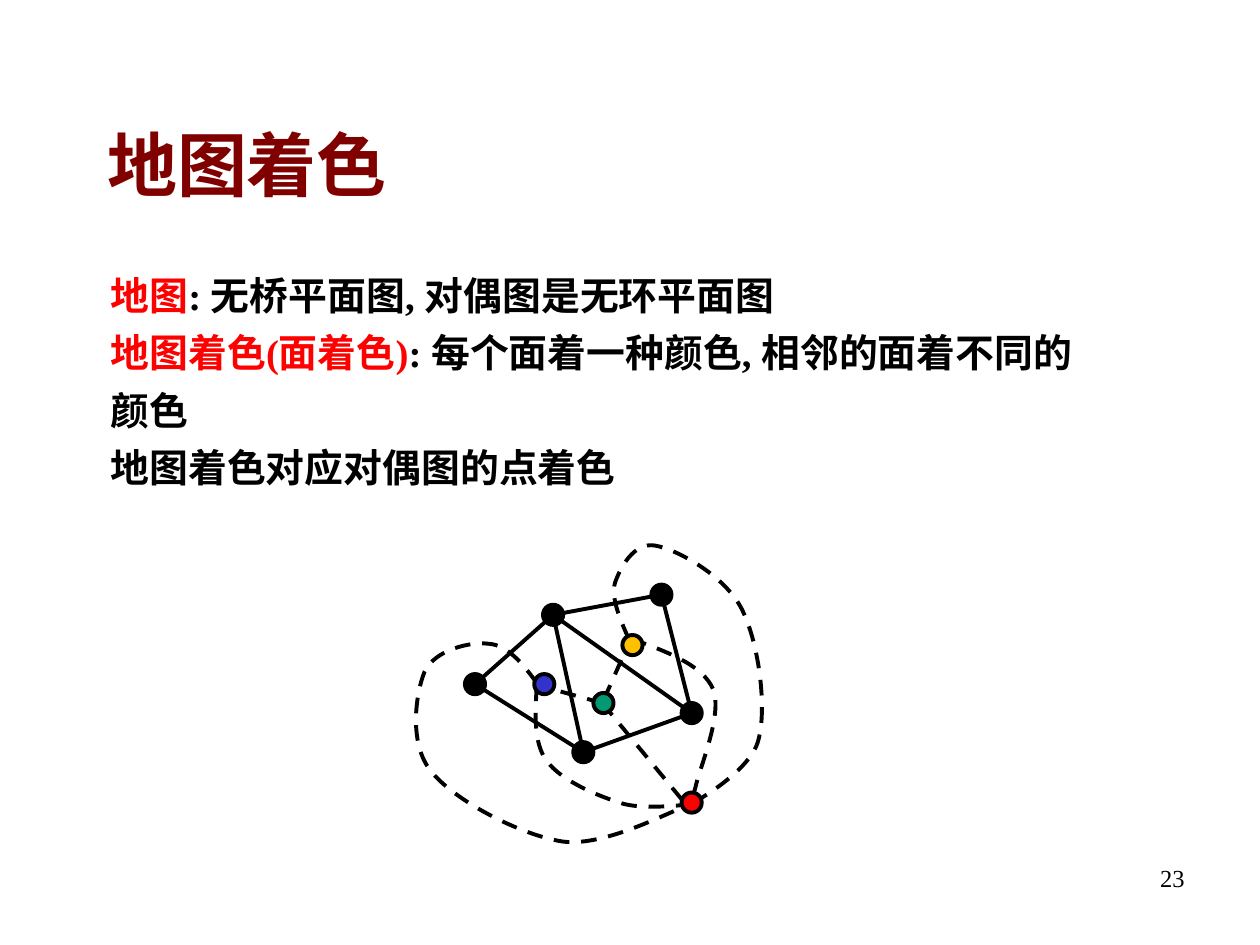
from pptx import Presentation
from pptx.dml.color import RGBColor
from pptx.enum.dml import MSO_LINE_DASH_STYLE as Dash
from pptx.enum.shapes import MSO_CONNECTOR, MSO_SHAPE
from pptx.enum.text import MSO_ANCHOR, PP_ALIGN
from pptx.oxml.ns import qn
from pptx.util import Inches, Pt

THEME = {
    "font": "Times New Roman",
    "title_size": 40, "body_size": 22.2, "number_size": 14,
    "title": "800000", "term": "FF0000", "ink": "000000",
    "stroke": 2.25, "node": 0.16,
}

# Content
TITLE = "地图着色"
PAGE_NUMBER = "23"
DEFINITIONS = [
    [("地图", "term"), (": 无桥平面图, 对偶图是无环平面图", "ink")],
    [("地图着色(面着色)", "term"), (": 每个面着一种颜色, 相邻的面着不同的", "ink")],
    [("颜色", "ink")],
    [("地图着色对应对偶图的点着色", "ink")],
]

# Map graph: vertex centres and edges
VERTICES = {"top": (4.39, 4.88), "right_top": (5.25, 4.72), "left": (3.77, 5.43),
            "bottom": (4.63, 5.97), "right": (5.49, 5.66)}
EDGES = [("top", "left"), ("top", "bottom"), ("left", "bottom"), ("top", "right_top"),
         ("right_top", "right"), ("bottom", "right"), ("top", "right")]

# Dual graph: one coloured vertex per face
FACES = {"yellow": ((5.02, 5.12), "FFC000"), "green": ((4.79, 5.58), "009973"),
         "blue": ((4.32, 5.43), "3333CC"), "outer": ((5.49, 6.37), "FF0000")}
DUAL_EDGES = [((5.02, 5.04), (4.78, 5.58)), ((4.24, 5.43), (4.78, 5.58)),
              ((4.78, 5.58), (5.44, 6.38))]
# Each curve is a start point, then two control points and an end point per
# segment; a single point left over at the end is joined by a straight line
DUAL_CURVES = [
    [(5.01, 5.07), (5.29, 5.17), (5.58, 5.28), (5.66, 5.47), (5.74, 5.67),
     (5.55, 6.1), (5.52, 6.25), (5.48, 6.4), (5.44, 6.38), (5.44, 6.38)],
    [(4.26, 5.44), (4.25, 5.66), (4.23, 5.89), (4.34, 6.04), (4.46, 6.2),
     (4.75, 6.32), (4.95, 6.38), (5.14, 6.43), (5.5, 6.38), (5.5, 6.38)],
    [(4.99, 5.07), (4.92, 4.91), (4.85, 4.75), (4.88, 4.63), (4.92, 4.51),
     (5.03, 4.3), (5.2, 4.33), (5.37, 4.36), (5.74, 4.56), (5.88, 4.82),
     (6.02, 5.08), (6.09, 5.61), (6.02, 5.87), (5.96, 6.13), (5.47, 6.39),
     (5.47, 6.39), (5.49, 6.39)],
    [(4.26, 5.42), (4.15, 5.27), (4.03, 5.12), (3.88, 5.11), (3.73, 5.09),
     (3.45, 5.16), (3.37, 5.33), (3.3, 5.5), (3.24, 5.9), (3.42, 6.12),
     (3.6, 6.35), (4.13, 6.63), (4.47, 6.68), (4.81, 6.72), (5.31, 6.44),
     (5.47, 6.39), (5.63, 6.35), (5.53, 6.38), (5.44, 6.41)],
]


def color(value):
    return RGBColor.from_string(value)


def place(shape, left, top, width, height):
    shape.left, shape.top = Inches(left), Inches(top)
    shape.width, shape.height = Inches(width), Inches(height)


def style_run(run, size, ink, bold=False):
    run.font.name = THEME["font"]
    run.font.size = Pt(THEME[size])
    run.font.bold = bold
    run.font.color.rgb = color(THEME[ink])


def style_stroke(line, dashed=False):
    line.color.rgb = color(THEME["ink"])
    line.width = Pt(THEME["stroke"])
    if dashed:
        line.dash_style = Dash.DASH


def add_edge(shapes, start, end, dashed=False):
    edge = shapes.add_connector(MSO_CONNECTOR.STRAIGHT, *map(Inches, start + end))
    style_stroke(edge.line, dashed)
    properties = edge._element.spPr
    properties.append(properties.makeelement(qn("a:effectLst"), {}))


def add_curve(shapes, points):
    start, *rest = [tuple(map(Inches, point)) for point in points]
    builder = shapes.build_freeform(*start)
    builder.add_line_segments(rest, close=False)
    curve = builder.convert_to_shape()
    curve.shadow.inherit = False
    curve.fill.background()
    style_stroke(curve.line, dashed=True)

    # Merge every three straight steps into one Bezier segment
    steps = list(curve._element.iter(qn("a:lnTo")))
    for i in range(0, len(steps) - 2, 3):
        segment = steps[i].makeelement(qn("a:cubicBezTo"), {})
        steps[i].addprevious(segment)
        for step in steps[i:i + 3]:
            segment.append(step[0])
            step.getparent().remove(step)


def add_node(shapes, center, fill):
    size = THEME["node"]
    corner = [Inches(value - size / 2) for value in center]
    node = shapes.add_shape(MSO_SHAPE.OVAL, *corner, Inches(size), Inches(size))
    node.shadow.inherit = False
    node.fill.solid()
    node.fill.fore_color.rgb = color(fill)
    style_stroke(node.line)


def main():
    deck = Presentation()
    deck.slide_width, deck.slide_height = Inches(10), Inches(7.5)
    slide = deck.slides.add_slide(deck.slide_layouts[5])
    shapes = slide.shapes

    # Title
    heading = shapes.title
    place(heading, 0.75, 0.67, 8.5, 1.25)
    heading.text_frame.text = TITLE
    heading.text_frame.vertical_anchor = MSO_ANCHOR.MIDDLE
    heading.text_frame.paragraphs[0].alignment = PP_ALIGN.LEFT
    style_run(heading.text_frame.paragraphs[0].runs[0], "title_size", "title", bold=True)

    # Definitions
    definitions = shapes.add_textbox(Inches(0.78), Inches(2.11), Inches(8.5), Inches(2.03))
    frame = definitions.text_frame
    frame.word_wrap = True
    for index, parts in enumerate(DEFINITIONS):
        paragraph = frame.add_paragraph() if index else frame.paragraphs[0]
        paragraph.space_before = Pt(6)
        indent = paragraph._p.get_or_add_pPr()
        indent.set("marL", str(Inches(0.38)))
        indent.set("indent", str(-Inches(0.38)))
        for words, ink in parts:
            run = paragraph.add_run()
            run.text = words
            style_run(run, "body_size", ink, bold=True)

    # Map graph
    for start, end in EDGES:
        add_edge(shapes, VERTICES[start], VERTICES[end])
    for center in VERTICES.values():
        add_node(shapes, center, THEME["ink"])

    # Dual graph
    for start, end in DUAL_EDGES:
        add_edge(shapes, start, end, dashed=True)
    for points in DUAL_CURVES:
        add_curve(shapes, points)
    for center, fill in FACES.values():
        add_node(shapes, center, fill)

    # Page number
    number = shapes.add_textbox(Inches(7.42), Inches(6.8), Inches(2.08), Inches(0.5))
    number.text_frame.word_wrap = True
    number.text_frame.text = PAGE_NUMBER
    number.text_frame.paragraphs[0].alignment = PP_ALIGN.RIGHT
    style_run(number.text_frame.paragraphs[0].runs[0], "number_size", "ink")

    deck.save("out.pptx")


if __name__ == "__main__":
    main()
